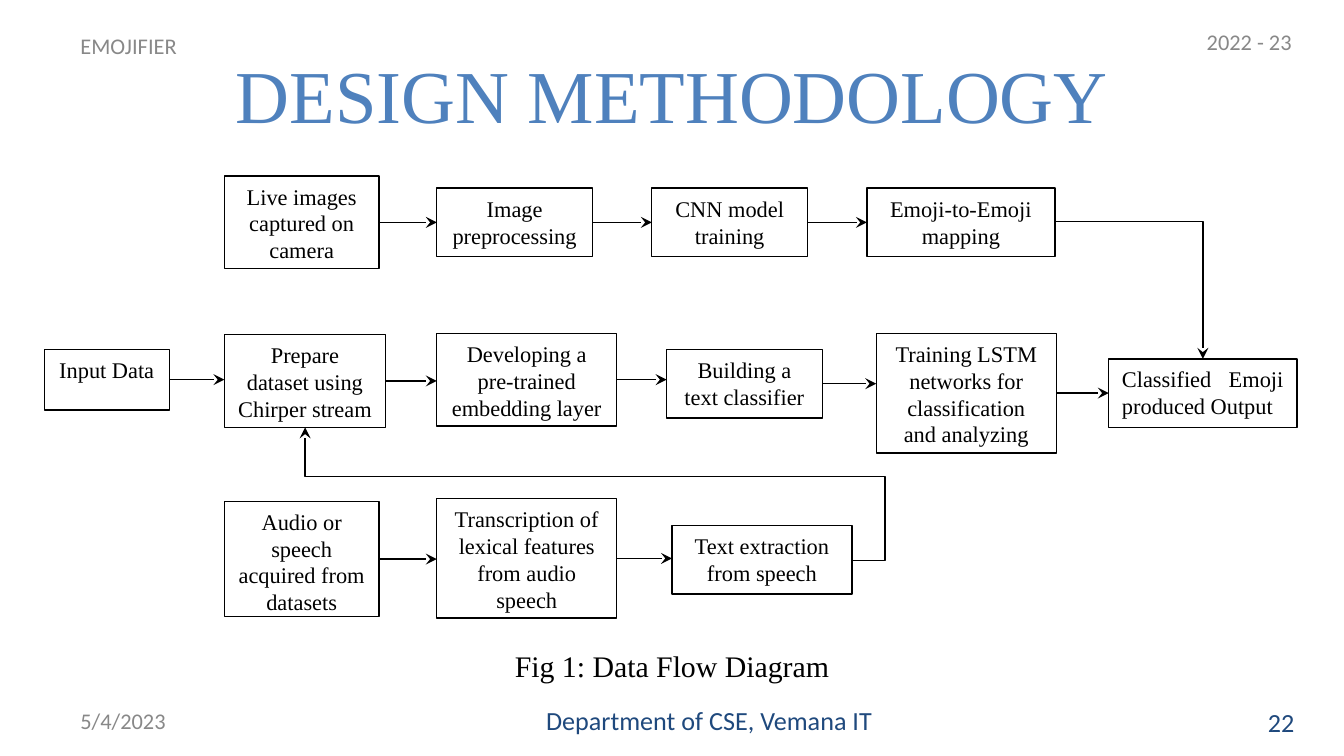
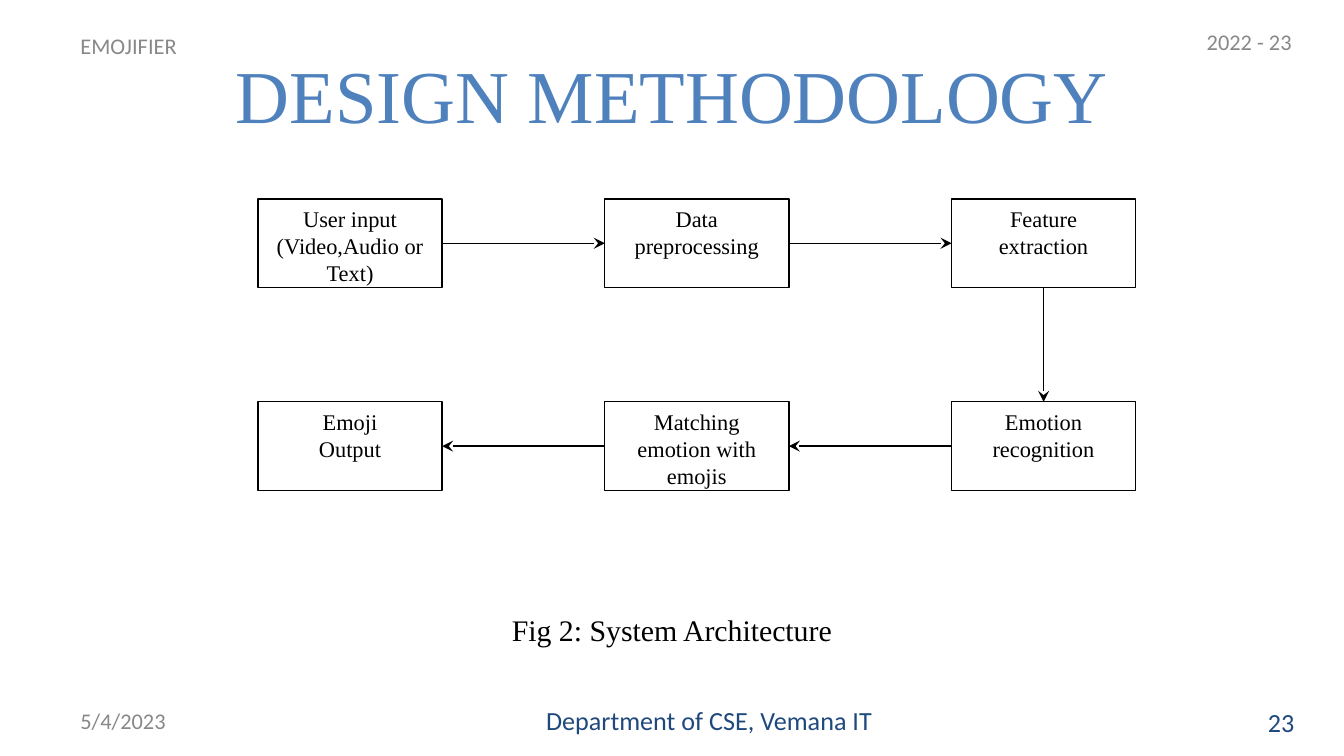
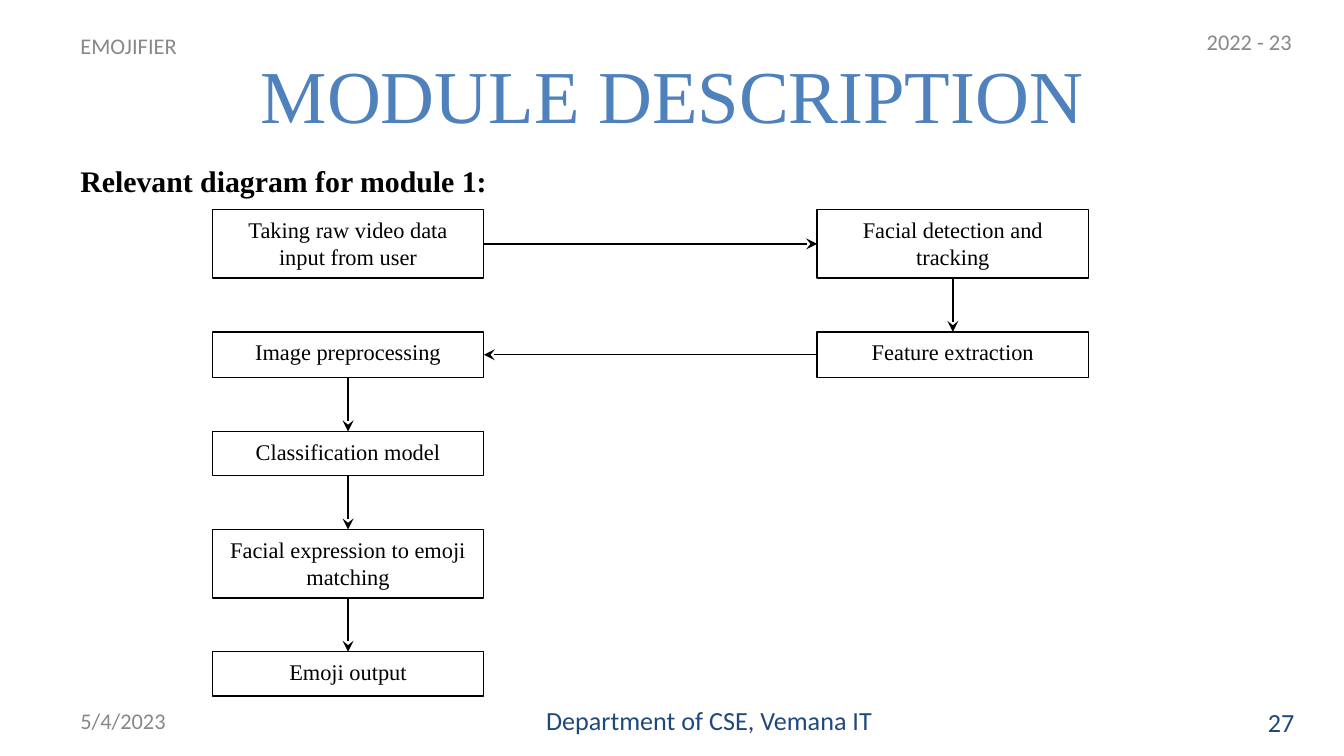
from lxml.etree import SubElement
from pptx import Presentation
from pptx.dml.color import RGBColor
from pptx.enum.shapes import MSO_CONNECTOR, MSO_SHAPE
from pptx.enum.text import MSO_ANCHOR, MSO_AUTO_SIZE, PP_ALIGN
from pptx.oxml.ns import qn
from pptx.util import Inches, Pt

COLORS = {"title": "4F81BD", "footer": "1F497D", "muted": "888888", "ink": "000000", "paper": "FFFFFF"}
SERIF, SANS = "Times New Roman", "Calibri"
COLUMNS, ROWS = 100, 56.25


class Deck:
    """Hold the shared style and the current slide, on a grid of 100 columns by 56.25 rows."""

    def __init__(self):
        """Start an empty widescreen presentation."""
        self.presentation = Presentation()
        self.presentation.slide_width = Inches(10)
        self.presentation.slide_height = Inches(5.625)
        self.slide = None

    def place(self, left, top, width, height):
        """Turn columns and rows into slide lengths."""
        column = self.presentation.slide_width / COLUMNS
        row = self.presentation.slide_height / ROWS
        return round(left * column), round(top * row), round(width * column), round(height * row)

    def set_text(self, shape, text, size=12, font=SERIF, color="ink", align=PP_ALIGN.CENTER,
                 anchor=MSO_ANCHOR.TOP, bold=False):
        """Fill a shape with one paragraph per line of text."""
        frame = shape.text_frame
        frame.word_wrap = True
        frame.auto_size = MSO_AUTO_SIZE.NONE
        frame.vertical_anchor = anchor
        for index, line in enumerate(text.split("\n")):
            paragraph = frame.add_paragraph() if index else frame.paragraphs[0]
            paragraph.alignment = align
            run = paragraph.add_run()
            run.text = line
            run.font.name = font
            run.font.size = Pt(size)
            run.font.bold = bold
            run.font.color.rgb = RGBColor.from_string(COLORS[color])

    def label(self, text, area, **style):
        """Add a text box."""
        self.set_text(self.slide.shapes.add_textbox(*self.place(*area)), text, **style)

    def new_slide(self, title, number):
        """Add a slide with its title, header and footer."""
        self.slide = self.presentation.slides.add_slide(self.presentation.slide_layouts[5])
        heading = self.slide.shapes.title
        heading.left, heading.top, heading.width, heading.height = self.place(5, 2.3, 90, 9.4)
        self.set_text(heading, title, size=40, color="title", anchor=MSO_ANCHOR.MIDDLE)
        muted = dict(font=SANS, color="muted", align=PP_ALIGN.LEFT, anchor=MSO_ANCHOR.MIDDLE)
        footer = dict(size=14, font=SANS, color="footer", align=PP_ALIGN.RIGHT, anchor=MSO_ANCHOR.MIDDLE)
        self.label("EMOJIFIER", (5, 2.3, 30.8, 2.2), **muted)
        self.label("2022 - 23", (88.8, 1.2, 10.8, 3.8), **muted)
        self.label("5/4/2023", (5, 52.1, 23.3, 3), **muted)
        self.label("Department of CSE, Vemana IT", (34.2, 52.1, 31.7, 3), **footer)
        self.label(str(number), (90, 52.2, 7.3, 3), **footer)

    def box(self, text, left, top, width, height, align=PP_ALIGN.CENTER):
        """Add an outlined step of a diagram."""
        shape = self.slide.shapes.add_shape(MSO_SHAPE.RECTANGLE, *self.place(left, top, width, height))
        shape.shadow.inherit = False
        shape.fill.solid()
        shape.fill.fore_color.rgb = RGBColor.from_string(COLORS["paper"])
        self.outline(shape)
        self.set_text(shape, text, align=align)
        return shape

    def outline(self, shape):
        """Give a shape or connector the thin dark line."""
        shape.line.color.rgb = RGBColor.from_string(COLORS["ink"])
        shape.line.width = Pt(0.75)

    def connector(self, kind, *ends):
        """Add a connector with a stealth arrowhead at its end."""
        connector = self.slide.shapes.add_connector(kind, *ends)
        self.outline(connector)
        properties = connector.element.spPr
        SubElement(properties.find(qn("a:ln")), qn("a:tailEnd"), type="stealth")
        SubElement(properties, qn("a:effectLst"))
        return properties

    def arrow(self, source, target):
        """Draw a level or upright arrow between facing sides of two boxes."""
        x, y = source.left + source.width // 2, source.top + source.height // 2
        source_right, target_right = source.left + source.width, target.left + target.width
        if target.left >= source_right:
            ends = source_right, y, target.left, y
        elif target_right <= source.left:
            ends = source.left, y, target_right, y
        else:
            ends = x, source.top + source.height, x, target.top
        self.connector(MSO_CONNECTOR.STRAIGHT, *ends)

    def flow(self, boxes):
        """Join boxes in order with arrows."""
        for source, target in zip(boxes, boxes[1:]):
            self.arrow(source, target)

    def elbow(self, ends, preset, adjustments=(), half_turn=False):
        """Draw a bent arrow, turned by 180 degrees when it runs up and left."""
        if half_turn:
            ends = ends[2:] + ends[:2]
        properties = self.connector(MSO_CONNECTOR.ELBOW, *ends)
        geometry = properties.find(qn("a:prstGeom"))
        geometry.set("prst", preset)
        guides = geometry.find(qn("a:avLst"))
        for index, share in enumerate(adjustments, 1):
            SubElement(guides, qn("a:gd"), name=f"adj{index}", fmla=f"val {round(share * 100000)}")
        if half_turn:
            properties.find(qn("a:xfrm")).set("rot", "10800000")


def data_flow(deck):
    """Build the data flow diagram."""
    deck.new_slide("DESIGN METHODOLOGY", 22)
    deck.label("Fig 1: Data Flow Diagram", (4.6, 47.7, 90.8, 4.2), size=16)
    image_steps = [
        ("Live images captured on camera", 16.7, 13.1, 11.5, 6.9),
        ("Image\npreprocessing", 32.5, 14, 11.6, 5.1),
        ("CNN model training", 48.5, 14, 11.6, 5.1),
        ("Emoji-to-Emoji mapping", 64.5, 14, 14, 5.1),
    ]
    text_steps = [
        ("Input Data", 3.3, 26, 9.3, 4.5),
        ("Prepare dataset using Chirper stream", 16.7, 24.9, 12, 6.9),
        ("Developing a pre-trained embedding layer", 32.5, 24.8, 13.4, 6.9),
        ("Building a text classifier", 49.6, 26, 11.6, 5.1),
        ("Training LSTM networks for classification and analyzing", 65.2, 24.8, 13.4, 8.9),
        ("Classified Emoji produced Output", 82.5, 26.7, 14, 5.1, PP_ALIGN.JUSTIFY),
    ]
    audio_steps = [
        ("Audio or speech acquired from datasets", 16.7, 37.3, 11.5, 8.6),
        ("Transcription of lexical features from audio speech", 32.5, 37.1, 13.4, 8.9),
        ("Text extraction from speech", 50, 39.1, 13.4, 5.1),
    ]
    for steps in (image_steps, text_steps, audio_steps):
        deck.flow([deck.box(*step) for step in steps])
    deck.elbow(deck.place(78.5, 16.5, 89.5, 26.7), "bentConnector2")
    deck.elbow(deck.place(63.4, 41.7, 22.7, 31.8), "bentConnector4", (-0.06, 0.63), half_turn=True)


def system_architecture(deck):
    """Build the two-row architecture diagram."""
    deck.new_slide("DESIGN METHODOLOGY", 23)
    deck.label("Fig 2: System Architecture", (5, 45, 90, 6.6), size=16)
    rows = [
        (14.8, ["User input (Video,Audio or Text)", "Data preprocessing", "Feature\nextraction"]),
        (29.9, ["Emoji\nOutput", "Matching emotion with emojis", "Emotion\nrecognition"]),
    ]
    upper, lower = [
        [deck.box(text, 19.2 + 25.8 * index, top, 13.7, 6.6) for index, text in enumerate(texts)]
        for top, texts in rows
    ]
    deck.flow(upper + lower[::-1])


def module_description(deck):
    """Build the module diagram."""
    deck.new_slide("MODULE DESCRIPTION", 27)
    deck.label("Relevant diagram for module 1:", (5, 11.6, 90, 4.2), size=16, align=PP_ALIGN.LEFT, bold=True)
    left_steps = [
        ("Taking raw video data input from user", 5.1),
        ("Image preprocessing", 3.4),
        ("Classification model", 3.3),
        ("Facial expression to emoji matching", 5.1),
        ("Emoji output", 3.3),
    ]
    right_steps = [("Facial detection and tracking", 5.1), ("Feature extraction", 3.4)]
    stacks = []
    for left, steps in ((15.8, left_steps), (60.8, right_steps)):
        top, stack = 15.6, []
        for text, height in steps:
            stack.append(deck.box(text, left, top, 20.2, height))
            top += height + 4
        stacks.append(stack)
    first, *rest = stacks[0]
    deck.flow([first, *stacks[1], *rest])


def main():
    """Build and save the presentation."""
    deck = Deck()
    data_flow(deck)
    system_architecture(deck)
    module_description(deck)
    deck.presentation.save("out.pptx")


if __name__ == "__main__":
    main()
